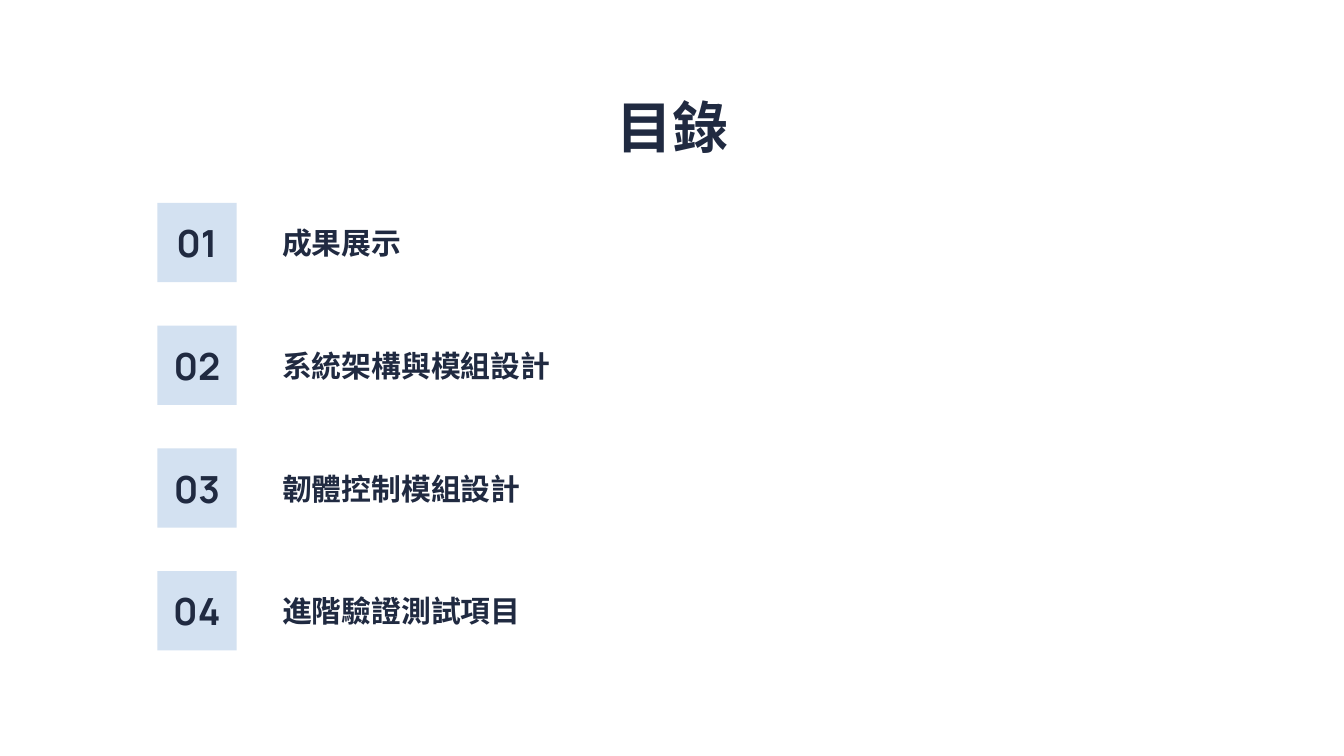
from pptx import Presentation
from pptx import util as u
from pptx.dml.color import RGBColor
from pptx.enum import shapes, text
from lxml import etree

# Widescreen, 16:9
WIDTH = u.Inches(10)
HEIGHT = WIDTH * 9 // 16
INK, TILE = "202A41", "D3E1F1"
TOPICS = ["成果展示", "系統架構與模組設計", "韌體控制模組設計", "進階驗證測試項目"]


def color(value):
    return RGBColor.from_string(value)


def place(shape, left, top, width, height):
    shape.left, shape.top = int(left), int(top)
    shape.width, shape.height = int(width), int(height)


def write(shape, content, size, font="Calibri", align=text.PP_ALIGN.LEFT,
          anchor=text.MSO_ANCHOR.MIDDLE, margin=0, indent=0):
    frame = shape.text_frame
    frame.word_wrap = True
    frame.auto_size = text.MSO_AUTO_SIZE.NONE
    frame.vertical_anchor = anchor
    frame.margin_left = frame.margin_right = u.Inches(0.1)
    frame.margin_top = frame.margin_bottom = u.Inches(0.1)
    frame.text = content
    paragraph = frame.paragraphs[0]
    paragraph.alignment = align
    paragraph.space_before = u.Pt(0)
    # Hanging indent without a bullet
    properties = paragraph._p.get_or_add_pPr()
    properties.set("marL", str(u.Inches(margin)))
    properties.set("indent", str(u.Inches(indent)))
    namespace = properties.nsmap["a"]
    etree.SubElement(properties, f"{{{namespace}}}buNone")
    run_font = paragraph.runs[0].font
    run_font.name, run_font.size, run_font.bold = font, u.Pt(size), True
    run_font.color.rgb = color(INK)


def add_heading(slide, content, left, top, width, height):
    title = slide.shapes.title
    place(title, left, top, width, height)
    write(title, content, 30, align=text.PP_ALIGN.CENTER,
          anchor=text.MSO_ANCHOR.TOP)


def add_entry(slide, label, number, topic, left, top, width, height):
    # Square number tile at the left end of the row
    tile = slide.shapes.add_shape(shapes.MSO_SHAPE.RECTANGLE, 0, 0, 0, 0)
    place(tile, left, top, height, height)
    tile.shadow.inherit = False
    tile.fill.solid()
    tile.fill.fore_color.rgb = color(TILE)
    tile.line.fill.background()
    write(tile, f"{number:02d}", 20, font="Manrope",
          align=text.PP_ALIGN.CENTER)

    # Topic in the rest of the row
    label_left = left + height + u.Inches(0.07)
    place(label, label_left, top, left + width - label_left, height)
    write(label, topic, 16, margin=0.5, indent=-0.33)


def add_contents(slide, topics, left, top, width, height):
    row_height = u.Inches(0.59)
    pitch = (height - row_height) / (len(topics) - 1)
    labels = [shape for shape in slide.placeholders
              if shape.placeholder_format.idx in range(1, len(topics) + 1)]
    for index, (label, topic) in enumerate(zip(labels, topics)):
        add_entry(slide, label, index + 1, topic,
                  left, top + index * pitch, width, row_height)


def main():
    presentation = Presentation()
    presentation.slide_width, presentation.slide_height = WIDTH, HEIGHT
    # The comparison layout has a title and four body placeholders
    layout = presentation.slide_layouts.get_by_name("Comparison")
    slide = presentation.slides.add_slide(layout)
    slide.background.fill.solid()
    slide.background.fill.fore_color.rgb = color("FFFFFF")

    add_heading(slide, "目錄", u.Inches(0.79), u.Inches(0.59),
                u.Inches(8.43), u.Inches(0.63))
    add_contents(slide, TOPICS, u.Inches(1.17), u.Inches(1.51),
                 u.Inches(3.21), u.Inches(3.33))
    presentation.save("out.pptx")


if __name__ == "__main__":
    main()
